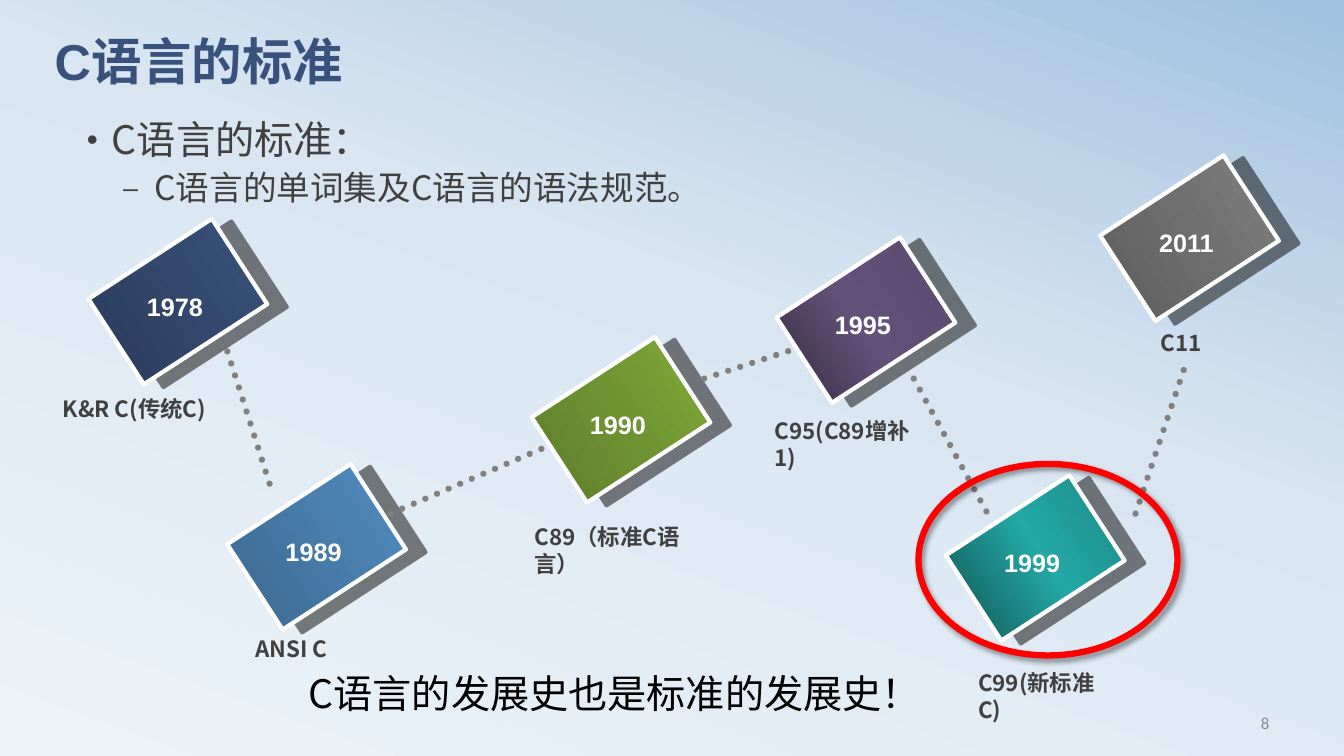
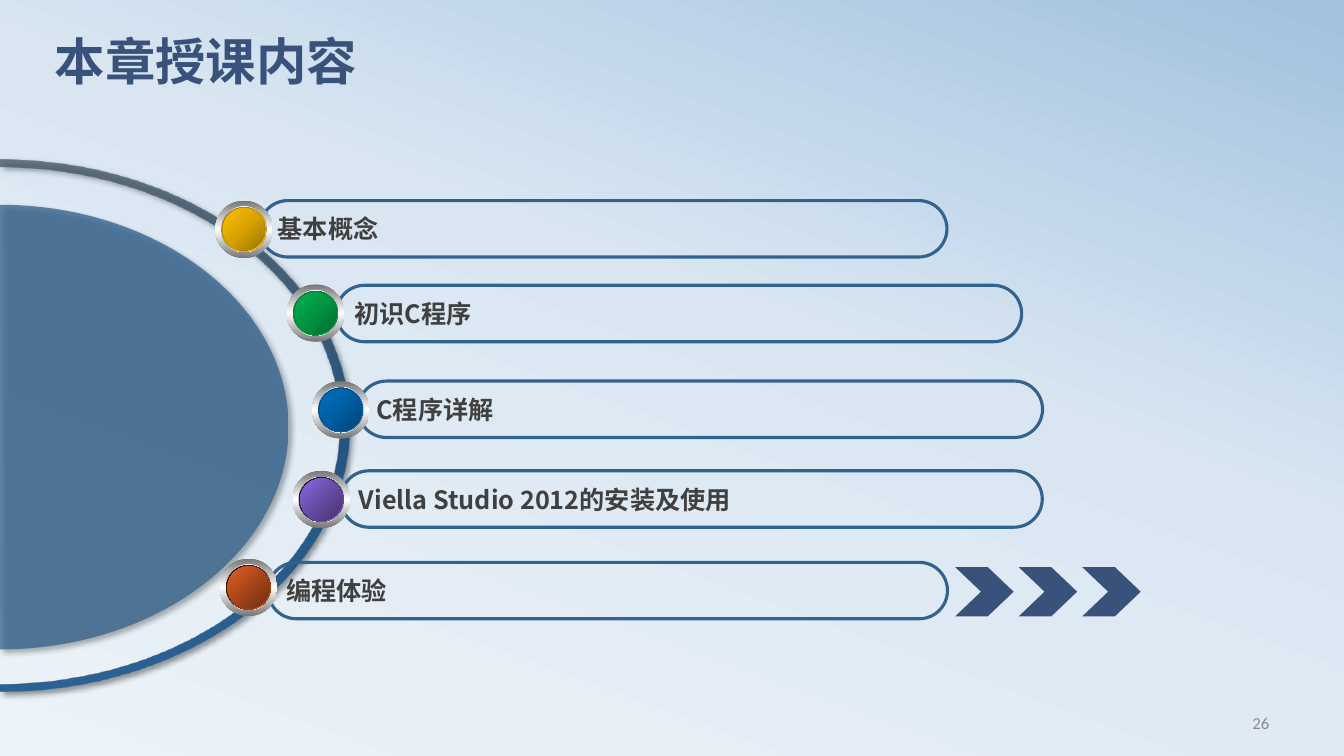
from collections import namedtuple

from lxml.etree import SubElement
from pptx import Presentation
from pptx.dml.color import RGBColor
from pptx.enum.dml import MSO_LINE
from pptx.enum.shapes import MSO_CONNECTOR, MSO_SHAPE
from pptx.enum.text import MSO_ANCHOR, PP_ALIGN
from pptx.oxml.ns import qn
from pptx.util import Pt

NAVY = RGBColor(0x39, 0x52, 0x7B)
STEEL = RGBColor(0x32, 0x62, 0x8E)
DARK = RGBColor(0x40, 0x40, 0x40)
GREY = RGBColor(0x80, 0x80, 0x80)
PALE = RGBColor(0x8C, 0x8C, 0x8C)
WHITE = RGBColor(0xFF, 0xFF, 0xFF)
BLACK = RGBColor(0, 0, 0)
RED = RGBColor(0xFF, 0, 0)

CJK = "Noto Sans CJK SC"
TITLE = {"size": Pt(36), "bold": True, "name": "Arial", "color": NAVY}
NUMBER = {"size": Pt(12), "name": "Calibri", "color": PALE}
YEAR = {"size": Pt(18), "bold": True, "name": "Arial", "color": WHITE}
CAPTION = {"size": Pt(16), "bold": True, "name": CJK, "color": DARK}
ITEM = {**CAPTION, "size": Pt(18)}
HEADING = {"size": Pt(28), "name": CJK, "color": DARK}
DETAIL = {**HEADING, "size": Pt(24)}
SUMMARY = {**HEADING, "color": BLACK}

CARD_SHADOW = {"alpha": 50, "blur": 0, "distance": 14.1, "angle": 8}
SOFT_SHADOW = {"alpha": 40, "blur": 4, "distance": 3, "angle": 45}
ARC_HANDLE = 0.55

Box = namedtuple("Box", "left top width height")
Card = namedtuple("Card", "year left top gradient caption")
Caption = namedtuple("Caption", "text left top width")
Item = namedtuple("Item", "text left top width button_left button_top rim face")


def shaded(color):
    """Return a gradient from a colour down to its half shade."""
    return [(0, color), (100, color, {"shade": 50})], 90


def glossy(dark, middle, bright):
    """Return the rim and face gradients of a button lit from the upper left."""
    stops = [(0, dark), (50, middle), (100, bright)]
    return (stops, 45), (stops, 225)


def rimmed(bright, dark):
    """Return the gradients of a button with a black-edged rim."""
    return ([(0, "000000"), (100, bright)], 45), ([(0, bright), (100, dark)], 45)


CARDS = [
    Card("1978", 54.3, 54.5, shaded("39527B"), Caption("K&R C(传统C)", 1.4, 170.4, 166)),
    Card("1989", 153.4, 229.7, shaded("528DC2"), Caption("ANSI C", 139, 342, 90)),
    Card("1990", 370.8, 139, shaded("7EA939"), Caption("C89（标准C语言）", 338.4, 262, 137)),
    Card("1995", 545.8, 67.7, ([(0, "352B40"), (47, "645179"), (100, "5A496D")], 270),
         Caption("C95(C89增补1)", 509.8, 186.3, 121)),
    Card("1999", 666.7, 237.6, ([(0, "115250"), (53, "23A8A5"), (100, "1D8A87")], 270),
         Caption("C99(新标准C)", 655.2, 365.8, 107)),
    Card("2011", 776.9, 9.2, shaded("7F7F7F"), Caption("C11", 785.5, 122.9, 66)),
]
DOTTED_LINES = [
    (126, 142.6, 158.4, 244.1),
    (242.6, 258.5, 355, 210.2),
    (466.6, 162, 535, 139.7),
    (616.3, 162, 671, 262.1),
    (774.7, 258.5, 810.7, 151.2),
]
ITEMS = [
    Item("基本概念", 185, 28.9, 491, 153.4, 29, *glossy("977200", "D7A200", "FFC000")),
    Item("初识C程序", 239.8, 89.4, 489.6, 204.5, 88.8, *glossy("00682F", "009443", "00B050")),
    Item("C程序详解", 255.4, 157.8, 488.9, 222.5, 157.9, *glossy("004272", "005EA2", "0070C0")),
    Item("Viella Studio 2012的安装及使用", 243, 221.9, 501.1, 208.6, 221.9,
         *rimmed("8D67E1", "45326D")),
    Item("编程体验", 191.1, 287.3, 485.3, 156.6, 284.7, *rimmed("E35E23", "6E2E11")),
]


def set_gradient(properties, stops, angle):
    """Replace the empty fill; a stop is (percent, colour[, {modifier: percent}])."""
    empty = properties.find(qn("a:noFill"))
    gradient = SubElement(properties, qn("a:gradFill"), rotWithShape="1")
    stop_list = SubElement(gradient, qn("a:gsLst"))
    for position, color, *modifiers in stops:
        stop = SubElement(stop_list, qn("a:gs"), pos=str(position * 1000))
        tone = SubElement(stop, qn("a:srgbClr"), val=color)
        for modifier in modifiers:
            for name, percent in modifier.items():
                SubElement(tone, qn(f"a:{name}"), val=str(percent * 1000))
    SubElement(gradient, qn("a:lin"), ang=str(angle * 60000), scaled="0")
    properties.replace(empty, gradient)


def set_shadow(shape, alpha, blur, distance, angle):
    effects = shape.element.spPr.find(qn("a:effectLst"))
    shadow = SubElement(effects, qn("a:outerShdw"), blurRad=str(Pt(blur)),
                        dist=str(Pt(distance)), dir=str(angle * 60000),
                        algn="ctr", rotWithShape="0")
    tone = SubElement(shadow, qn("a:srgbClr"), val="000000")
    SubElement(tone, qn("a:alpha"), val=str(alpha * 1000))


def finish(shape, gradient=None, solid=None, line=None, shadow=None):
    """Give a new shape its fill, outline and shadow."""
    shape.shadow.inherit = False
    if solid is None:
        shape.fill.background()
    else:
        shape.fill.solid()
        shape.fill.fore_color.rgb = solid
    if gradient:
        set_gradient(shape.element.spPr, *gradient)
    if line:
        shape.line.color.rgb, shape.line.width = line[0], Pt(line[1])
    else:
        shape.line.fill.background()
    if shadow:
        set_shadow(shape, **shadow)
    return shape


def add_preset(page, kind, box, **looks):
    shape = page.shapes.add_shape(kind, *map(Pt, box))
    return finish(shape, **looks)


def write(para, text, font, **layout):
    span = para.add_run()
    span.text = text
    for name, value in font.items():
        if name == "color":
            span.font.color.rgb = value
        else:
            setattr(span.font, name, value)
    SubElement(span.font._element, qn("a:ea"), typeface=CJK)
    for name, value in layout.items():
        setattr(para, name, value)


def add_text(page, box, text, font, wrap=True, anchor=MSO_ANCHOR.TOP, **layout):
    frame = page.shapes.add_textbox(*map(Pt, box)).text_frame
    frame.word_wrap = wrap
    frame.vertical_anchor = anchor
    write(frame.paragraphs[0], text, font, **layout)
    return frame


def set_bullet(para, symbol, margin, indent):
    properties = para._p.get_or_add_pPr()
    properties.set("marL", str(Pt(margin)))
    properties.set("indent", str(Pt(-indent)))
    tone = SubElement(properties, qn("a:buClr"))
    SubElement(tone, qn("a:srgbClr"), val=str(DARK))
    SubElement(properties, qn("a:buSzPct"), val="80000")
    SubElement(properties, qn("a:buFont"), typeface="Arial")
    SubElement(properties, qn("a:buChar"), char=symbol)


def new_page(deck, title, number, title_font="Arial"):
    page = deck.slides.add_slide(deck.slide_layouts[6])
    add_text(page, Box(689.8, 501.8, 224, 28.8), number, NUMBER,
             anchor=MSO_ANCHOR.MIDDLE, alignment=PP_ALIGN.RIGHT)
    add_text(page, Box(32, 26, 864, 67.7), title,
             {**TITLE, "name": title_font}, line_spacing=0.8)
    return page


def add_outline(page, box):
    frame = add_text(page, box, "C语言的标准：", HEADING,
                     line_spacing=0.9, space_before=Pt(18))
    set_bullet(frame.paragraphs[0], "•", 18, 18)
    detail = frame.add_paragraph()
    write(detail, "C语言的单词集及C语言的语法规范。", DETAIL,
          level=1, line_spacing=0.9, space_before=Pt(6))
    set_bullet(detail, "–", 48.4, 22.4)


def add_card(page, box, card):
    tile = add_preset(page, MSO_SHAPE.RECTANGLE, box, gradient=card.gradient,
                      line=(WHITE, 3), shadow=CARD_SHADOW)
    tile.rotation = 57
    add_text(page, Box(box.left + 6.8, box.top + 41.4, 54.7, 28.8), card.year, YEAR,
             wrap=False, alignment=PP_ALIGN.CENTER)


def add_dotted_line(page, ends):
    connector = page.shapes.add_connector(MSO_CONNECTOR.STRAIGHT, *map(Pt, ends))
    for name, value in {"width": Pt(4.5), "dash_style": MSO_LINE.ROUND_DOT}.items():
        setattr(connector.line, name, value)
    connector.line.color.rgb = GREY
    properties = connector.element.spPr
    properties.find(qn("a:ln")).set("cap", "rnd")
    SubElement(properties, qn("a:effectLst"))


def add_timeline(page, box):
    for card in CARDS:
        add_card(page, Box(box.left + card.left, box.top + card.top, 72.7, 105.1), card)
        caption = card.caption
        add_text(page, Box(box.left + caption.left, box.top + caption.top,
                           caption.width, 26.6), caption.text, CAPTION)
    for start_x, start_y, end_x, end_y in DOTTED_LINES:
        add_dotted_line(page, (box.left + start_x, box.top + start_y,
                               box.left + end_x, box.top + end_y))
    add_preset(page, MSO_SHAPE.OVAL, Box(box.left + 619.7, box.top + 223, 185, 136.8),
               line=(RED, 4.5), shadow=SOFT_SHADOW)


def half_ellipse(left, center, radius_x, radius_y):
    """Return the points of two curves, top to bottom, with their handles."""
    reach_x, reach_y = ARC_HANDLE * radius_x, ARC_HANDLE * radius_y
    offsets = [(0, -radius_y), (reach_x, -radius_y), (radius_x, -reach_y), (radius_x, 0),
               (radius_x, reach_y), (reach_x, radius_y), (0, radius_y)]
    return [(Pt(left + x), Pt(center + y)) for x, y in offsets]


def add_curved_shape(page, points, steps, **looks):
    """Draw a closed outline; steps has C for a curve of three points, L for a line."""
    builder = page.shapes.build_freeform(*points[0], scale=1.0)
    builder.add_line_segments(points[1:], close=True)
    shape = builder.convert_to_shape()
    lines = iter(list(shape.element.iter(qn("a:lnTo"))))
    for step in steps:
        line = next(lines)
        if step == "C":
            outline = line.getparent()
            curve = SubElement(outline, qn("a:cubicBezTo"))
            outline.replace(line, curve)
            curve.append(line[0])
            for handle in (next(lines), next(lines)):
                curve.append(handle[0])
                outline.remove(handle)
    return finish(shape, **looks)


def add_dial(page, box):
    center = box.top + box.height / 2
    outer = half_ellipse(box.left, center, box.width, box.height / 2)
    inner = half_ellipse(box.left, center, box.width - 7.2, box.height / 2 - 5.7)
    add_curved_shape(page, outer + inner[::-1], "CCLCC", shadow=SOFT_SHADOW,
                     gradient=([(0, "445462", {"alpha": 75}), (50, "24537D"),
                                (100, "2B6295")], 90))
    disc = half_ellipse(box.left, center + 1.2, 206.2, 158.8)
    veil = {"alpha": 75}
    add_curved_shape(page, disc, "CC", shadow=SOFT_SHADOW,
                     gradient=([(0, str(STEEL), veil), (100, str(STEEL), veil)], 0))


def add_button(page, box, rim, face):
    chrome = [(0, "767676"), (50, "FFFFFF"), (100, "767676")]
    silver = [(0, "A2A2A2"), (50, "FFFFFF"), (100, "A2A2A2")]
    layers = [(0, (chrome, 90)), (4.1, (silver, 0)), (4.7, rim), (5.4, face)]
    for inset, gradient in layers:
        size = box.width - 2 * inset
        add_preset(page, MSO_SHAPE.OVAL,
                   Box(box.left + inset, box.top + inset, size, size), gradient=gradient)


def add_item(page, box, text):
    bar = add_preset(page, MSO_SHAPE.ROUNDED_RECTANGLE, box, line=(STEEL, 2.25))
    bar.adjustments[0] = 0.5
    frame = bar.text_frame
    frame.word_wrap = True
    frame.vertical_anchor = MSO_ANCHOR.MIDDLE
    write(frame.paragraphs[0], text, ITEM, alignment=PP_ALIGN.LEFT)


def add_chevrons(page, box, count=3, step=45.4):
    for index in range(count):
        chevron = add_preset(page, MSO_SHAPE.CHEVRON,
                             box._replace(left=box.left + index * step), solid=NAVY)
        chevron.adjustments[0] = 0.525


def add_agenda(page, box):
    add_dial(page, Box(box.left - 0.4, box.top - 0.6, 249.5, 380.2))
    for item in ITEMS:
        add_item(page, Box(box.left + item.left, box.top + item.top, item.width, 40.3),
                 item.text)
        add_button(page, Box(box.left + item.button_left, box.top + item.button_top, 41, 41),
                   item.rim, item.face)
    add_chevrons(page, Box(box.left + 681.8, box.top + 290.6, 41.8, 35.3))


def main():
    deck = Presentation()
    deck.slide_width, deck.slide_height = Pt(960), Pt(540)
    master = deck.slide_master
    master.background.fill.background()
    set_gradient(next(master.element.iter(qn("p:bgPr"))),
                 [(0, "ECF3F8"), (58, "D9E6F2"), (100, "A1C1DE")], 290)

    standards = new_page(deck, "C语言的标准", "8")
    add_outline(standards, Box(54.9, 82.8, 810, 351.4))
    add_timeline(standards, Box(36.4, 108.4, 888, 410))
    add_text(standards, Box(194, 474.2, 490.3, 41), "C语言的发展史也是标准的发展史！",
             SUMMARY, alignment=PP_ALIGN.CENTER)

    agenda = new_page(deck, "本章授课内容", "26", title_font="Calibri")
    add_agenda(agenda, Box(0.4, 114.4, 820, 380))
    deck.save("out.pptx")


if __name__ == "__main__":
    main()
